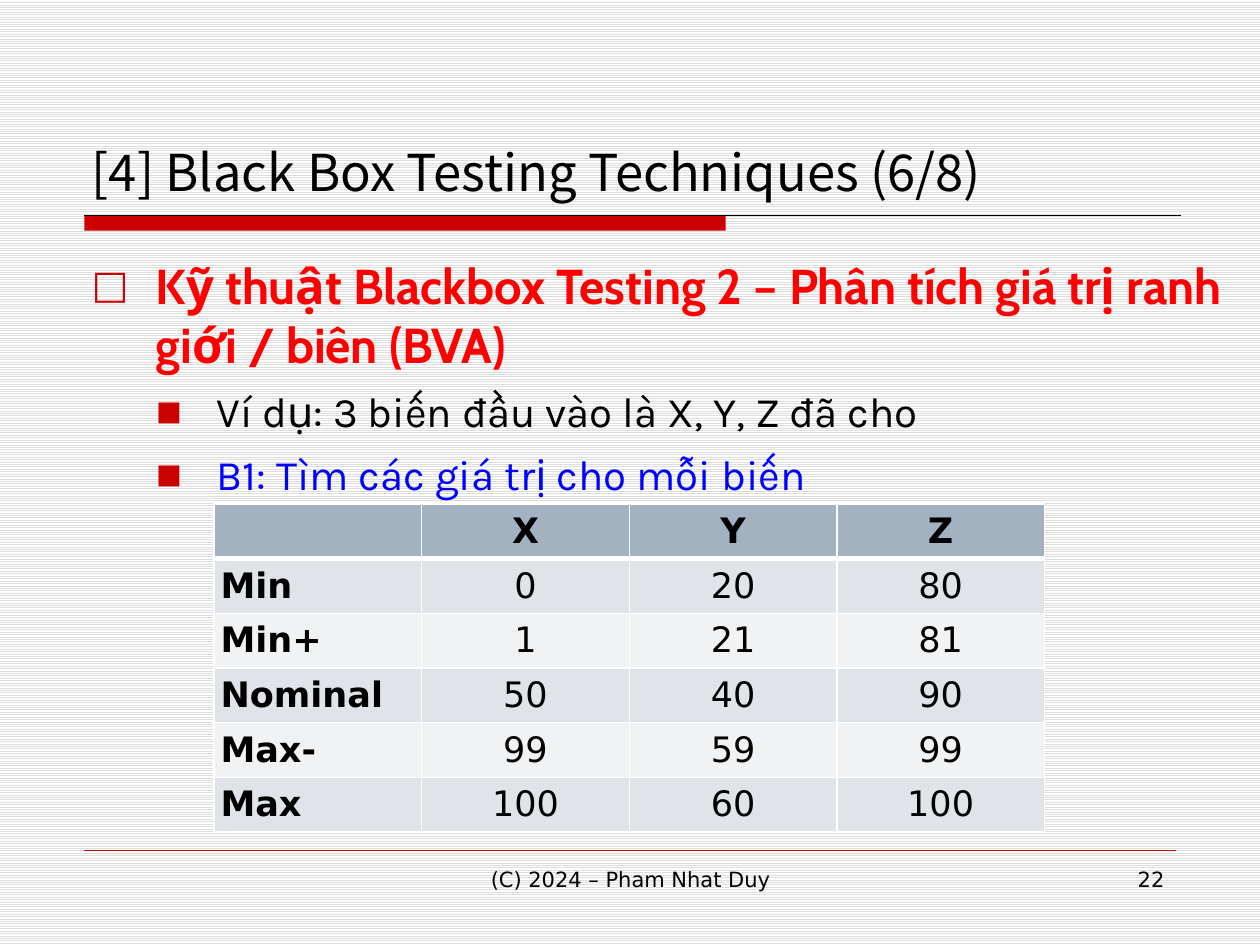
from lxml import etree
from pptx import Presentation
from pptx.dml.color import RGBColor
from pptx.enum.dml import MSO_PATTERN
from pptx.enum.shapes import MSO_CONNECTOR, MSO_SHAPE
from pptx.enum.text import MSO_ANCHOR as ANCHOR, PP_ALIGN as ALIGN
from pptx.oxml.ns import qn
from pptx.util import Inches, Pt

COLORS = {
    name: RGBColor.from_string(value)
    for name, value in {
        "accent": "CC0000", "heading": "FF0000", "step": "0000FF",
        "text": "000000", "white": "FFFFFF", "stripe": "DDDDDD",
        "header": "A3B2C1", "odd": "E0E4E9", "even": "F0F2F4",
    }.items()
}


def write(para, text, font, size, color="text", bold=False, **formats):
    """Add a styled run and set the given paragraph formats."""
    span = para.add_run()
    span.text = text
    span.font.color.rgb = COLORS[color]
    for name, value in {"name": font, "size": Pt(size), "bold": bold}.items():
        setattr(span.font, name, value)
    for name, value in formats.items():
        setattr(para, name, value)


def add_box(left, top, width, height, anchor=ANCHOR.TOP):
    box = page.shapes.add_textbox(*map(Inches, (left, top, width, height)))
    box.text_frame.word_wrap = True
    box.text_frame.vertical_anchor = anchor
    return box.text_frame


deck = Presentation()
deck.slide_width, deck.slide_height = Inches(10), Inches(7.5)
page = deck.slides.add_slide(deck.slide_layouts[6])

backdrop = page.background.fill
backdrop.patterned()
backdrop.pattern = MSO_PATTERN.LIGHT_HORIZONTAL
backdrop.fore_color.rgb = COLORS["stripe"]
backdrop.back_color.rgb = COLORS["white"]

# Title bar and rules
bar = page.shapes.add_shape(
    MSO_SHAPE.RECTANGLE, Inches(0.67), Inches(1.71), Inches(5.09), Inches(0.12))
bar.shadow.inherit = False
bar.fill.solid()
bar.fill.fore_color.rgb = COLORS["accent"]
bar.line.fill.background()

for y, right, color, weight in ((1.71, 9.37, "text", 0.75), (6.75, 9.33, "accent", 0.25)):
    rule = page.shapes.add_connector(
        MSO_CONNECTOR.STRAIGHT, Inches(0.67), Inches(y), Inches(right), Inches(y))
    rule.line.color.rgb = COLORS[color]
    rule.line.width = Pt(weight)
    etree.SubElement(rule._element.spPr, qn("a:effectLst"))

# Title
title = add_box(0.63, 0.33, 9.2, 1.33, ANCHOR.BOTTOM)
write(title.paragraphs[0], "[4] Black Box Testing Techniques (6/8)",
      "Noto Sans CJK JP", 29, line_spacing=0.9)

# Bulleted body: text, font, size, color, bold, level, left, hanging, bullet, bullet percent
points = [
    ("Kỹ thuật Blackbox Testing 2 – Phân tích giá trị ranh giới / biên (BVA)",
     "Cabin", 28, "heading", True, 0, 0.51, 0.51, "□", 80),
    ("Ví dụ: 3 biến đầu vào là X, Y, Z đã cho",
     "Karla", 24, "text", False, 1, 0.99, 0.48, "■", 65),
    ("B1: Tìm các giá trị cho mỗi biến",
     "Karla", 24, "step", False, 1, 0.99, 0.48, "■", 65),
]
body = add_box(0.63, 1.98, 9.2, 5.02)
for index, (*style, level, left, hanging, bullet, percent) in enumerate(points):
    para = body.add_paragraph() if index else body.paragraphs[0]
    write(para, *style, level=level, space_before=Pt(7.2))
    props = para._p.get_or_add_pPr()
    props.set("marL", str(Inches(left)))
    props.set("indent", str(-Inches(hanging)))
    bullet_color = etree.SubElement(props, qn("a:buClr"))
    etree.SubElement(bullet_color, qn("a:srgbClr"), val=str(COLORS["accent"]))
    etree.SubElement(props, qn("a:buSzPct"), val=str(percent * 1000))
    etree.SubElement(props, qn("a:buFont"), typeface="DejaVu Sans")
    etree.SubElement(props, qn("a:buChar"), char=bullet)

# Boundary values
values = [
    ("", "X", "Y", "Z"),
    ("Min", "0", "20", "80"),
    ("Min+", "1", "21", "81"),
    ("Nominal", "50", "40", "90"),
    ("Max-", "99", "59", "99"),
    ("Max", "100", "60", "100"),
]
row_height = Inches(0.42)
table = page.shapes.add_table(
    len(values), len(values[0]), Inches(1.7), Inches(4),
    Inches(6.59), row_height * len(values)).table
cell_format = {"vertical_anchor": ANCHOR.MIDDLE}
for side in ("left", "right", "top", "bottom"):
    cell_format[f"margin_{side}"] = Inches(0.05)

for r, row in enumerate(values):
    table.rows[r].height = row_height
    fill = "header" if r == 0 else "odd" if r % 2 else "even"
    borders = {"lnL": 1, "lnR": 1, "lnT": 3 if r == 1 else 1, "lnB": 3 if r == 0 else 1}
    for c, text in enumerate(row):
        cell = table.cell(r, c)
        for name, value in cell_format.items():
            setattr(cell, name, value)
        for tag, weight in borders.items():
            border = etree.SubElement(
                cell._tc.get_or_add_tcPr(), qn(f"a:{tag}"), w=str(Pt(weight)))
            paint = etree.SubElement(border, qn("a:solidFill"))
            etree.SubElement(paint, qn("a:srgbClr"), val=str(COLORS["white"]))
        cell.fill.solid()
        cell.fill.fore_color.rgb = COLORS[fill]
        if text:
            write(cell.text_frame.paragraphs[0], text, "DejaVu Sans", 20,
                  bold=r == 0 or c == 0, alignment=ALIGN.CENTER if c else ALIGN.LEFT)

# Footer
for text, left, width, align in (
        ("22", 7.17, 2.17, ALIGN.RIGHT),
        ("(C) 2024 – Pham Nhat Duy", 2.42, 5.17, ALIGN.CENTER)):
    footer = add_box(left, 6.83, width, 0.5)
    write(footer.paragraphs[0], text, "DejaVu Sans", 12, alignment=align)

deck.save("out.pptx")
